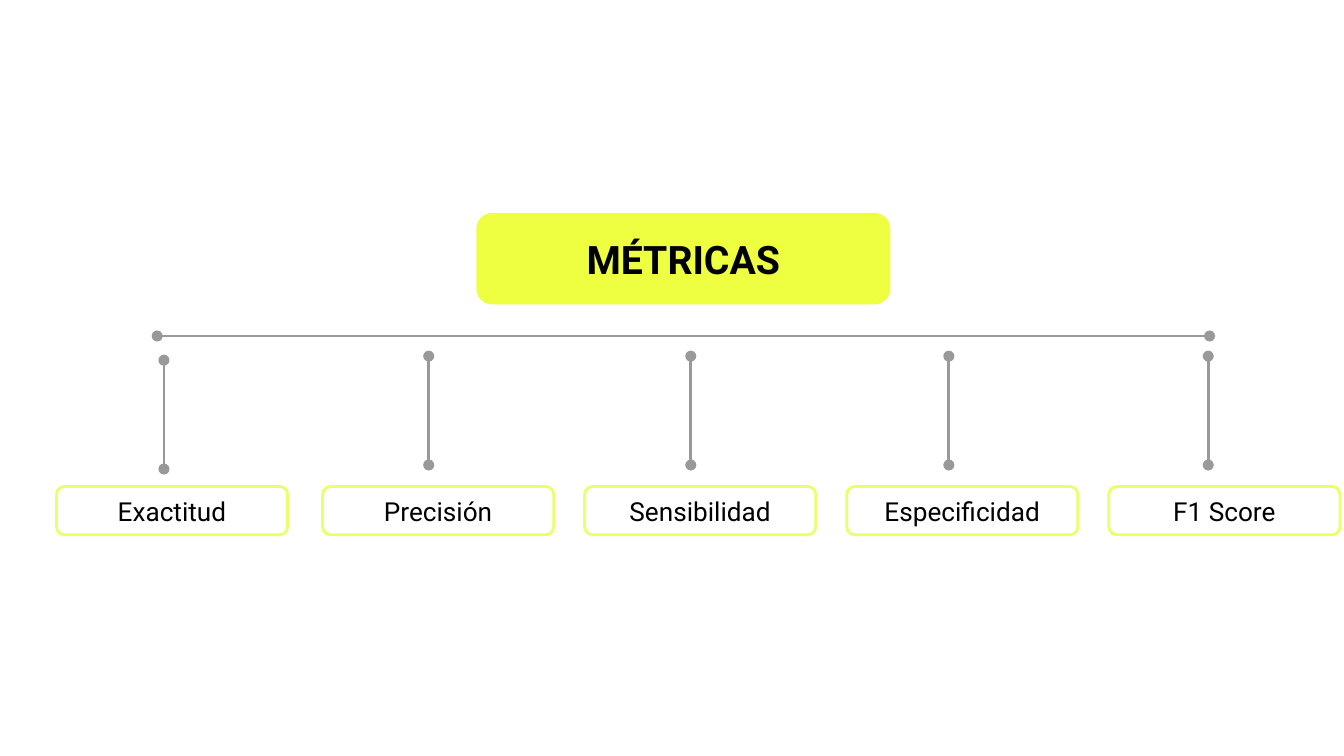
from collections import namedtuple

from lxml import etree
from pptx import Presentation
from pptx.dml.color import RGBColor
from pptx.enum.shapes import MSO_CONNECTOR, MSO_SHAPE
from pptx.enum.text import MSO_ANCHOR, PP_ALIGN
from pptx.oxml.ns import qn
from pptx.util import Inches, Pt

ROUNDED = MSO_SHAPE.ROUNDED_RECTANGLE
STRAIGHT = MSO_CONNECTOR.STRAIGHT
MIDDLE = MSO_ANCHOR.MIDDLE
CENTER = PP_ALIGN.CENTER

WIDTH = 10
HEIGHT = WIDTH * 9 / 16
FONT = "Roboto"
BLACK, GRAY = "000000", "999999"
YELLOW, PALE_YELLOW = "EEFF41", "EAFF6A"

Box = namedtuple("Box", "left top width height")
Metric = namedtuple("Metric", "label left stem_x stem_top")

COLUMN = 1.95
FIRST_LEFT = 0.45
LABEL_WIDTH = 1.72
STEM_HEIGHT = 0.81
STEM_TOP = 2.65
METRICS = [
    Metric("Exactitud", FIRST_LEFT - 0.03, 1.22, STEM_TOP + 0.03),
    Metric("Precisión", FIRST_LEFT + COLUMN, 3.19, STEM_TOP),
    Metric("Sensibilidad", FIRST_LEFT + 2 * COLUMN, 5.14, STEM_TOP),
    Metric("Especificidad", FIRST_LEFT + 3 * COLUMN, 7.06, STEM_TOP),
    Metric("F1 Score", FIRST_LEFT + 4 * COLUMN, 8.99, STEM_TOP),
]


def color(hex_value):
    return RGBColor.from_string(hex_value)


def add_label(slide, box, text, size, outline, outline_width, fill=None, bold=False):
    label = slide.shapes.add_shape(ROUNDED, *(Inches(v) for v in box))
    label.shadow.inherit = False
    label.adjustments[0] = 0.167
    if fill:
        label.fill.solid()
        label.fill.fore_color.rgb = color(fill)
    else:
        label.fill.background()
    label.line.color.rgb = color(outline)
    label.line.width = Pt(outline_width)

    frame = label.text_frame
    frame.word_wrap = True
    frame.vertical_anchor = MIDDLE
    frame.margin_left = frame.margin_right = Inches(0.1)
    frame.margin_top = frame.margin_bottom = Inches(0.1)
    paragraph = frame.paragraphs[0]
    paragraph.alignment = CENTER
    run = paragraph.add_run()
    run.text = text
    run.font.name = FONT
    run.font.size = Pt(size)
    run.font.bold = bold
    run.font.color.rgb = color(BLACK)


def add_branch(slide, box):
    branch = slide.shapes.add_connector(
        STRAIGHT,
        Inches(box.left),
        Inches(box.top),
        Inches(box.left + box.width),
        Inches(box.top + box.height),
    )
    branch.line.color.rgb = color(GRAY)
    branch.line.width = Pt(1.5)
    outline = branch.line._get_or_add_ln()
    for end in ("a:headEnd", "a:tailEnd"):
        etree.SubElement(outline, qn(end), type="oval")
    etree.SubElement(branch._element.spPr, qn("a:effectLst"))


def add_heading(slide, box):
    add_label(slide, box, "MÉTRICAS", 21, YELLOW, 0.75, fill=YELLOW, bold=True)


def add_metrics(slide, top, height):
    for metric in METRICS:
        box = Box(metric.left, top, LABEL_WIDTH, height)
        add_label(slide, box, metric.label, 14, PALE_YELLOW, 1.5)
        add_branch(slide, Box(metric.stem_x, metric.stem_top, 0, STEM_HEIGHT))


def main():
    deck = Presentation()
    deck.slide_width = Inches(WIDTH)
    deck.slide_height = Inches(HEIGHT)
    slide = deck.slides.add_slide(deck.slide_layouts[6])
    add_heading(slide, Box(3.55, 1.59, 3.07, 0.67))
    add_branch(slide, Box(1.17, 2.5, 7.83, 0))
    add_metrics(slide, 3.62, 0.36)
    deck.save("out.pptx")


if __name__ == "__main__":
    main()
